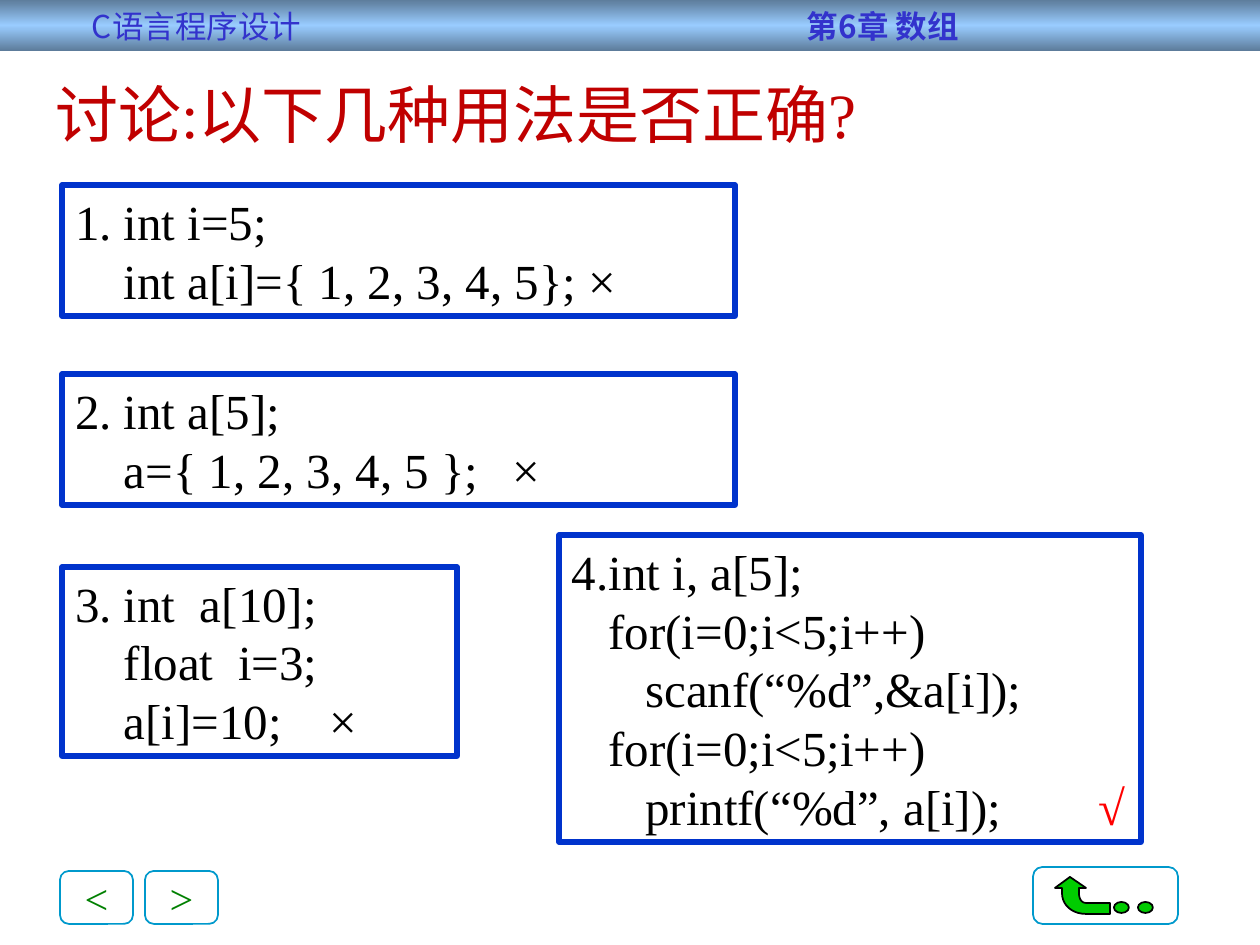
from lxml.etree import SubElement
from pptx import Presentation
from pptx.dml.color import RGBColor
from pptx.enum.shapes import MSO_SHAPE
from pptx.enum.text import MSO_ANCHOR, PP_ALIGN
from pptx.oxml.ns import qn
from pptx.util import Emu, Pt

PX = 914400 // 126
COLORS = {
    "band_edge": "5D7C9B", "band_middle": "99CCFF", "header": "3333CC",
    "title": "C00000", "code": "000000", "code_border": "0033CC",
    "right": "FF0000", "button": "0099CC", "symbol": "008000",
    "arrow": "00CC00", "outline": "000000",
}
LATIN, CHINESE = "Times New Roman", "Noto Sans CJK SC"

# Content: text runs are (text, color, bold)
HEADER = [("C语言程序设计", "header", False), ("\t第6章 数组", "header", True)]
TITLE = "讨论:以下几种用法是否正确?"
# Each exercise: box, tab stop of the verdict, code lines, verdict, verdict color
EXERCISES = [
    ((62, 185, 673, 131), None,
     ["1. int i=5;", "    int a[i]={ 1, 2, 3, 4, 5}; "], "×", "code"),
    ((62, 374, 673, 131), 438,
     ["2. int a[5];", "    a={ 1, 2, 3, 4, 5 };"], "×", "code"),
    ((62, 567, 395, 189), 255,
     ["3. int  a[10];", "    float  i=3;", "    a[i]=10;"], "×", "code"),
    ((559, 535, 582, 307), 527,
     ["4.int i, a[5];", "   for(i=0;i<5;i++)", "      scanf(“%d”,&a[i]);",
      "   for(i=0;i<5;i++)", "      printf(“%d”, a[i]);"], "√", "right"),
]
BUTTONS = [("<", (60, 871, 73, 53)), (">", (145, 871, 73, 53))]
RETURN_BUTTON = (1033, 867, 145, 57)
RETURN_DOTS = [(1114, 902, 15, 11), (1138, 902, 15, 11)]
# Bent arrow: pairs are corners, triples are the rest of a Bezier curve
RETURN_ARROW = [
    (1070, 877), (1055, 888), (1062, 888), (1062, 893),
    ((1062, 905), (1072, 914), (1086, 914)),
    (1110, 914), (1110, 903), (1086, 903),
    ((1081, 903), (1079, 898), (1079, 893)),
    (1079, 888), (1086, 888),
]


def rgb(name):
    return RGBColor.from_string(COLORS[name])


def style(shape, fill=None, line=None, width=1):
    shape.shadow.inherit = False
    if fill:
        shape.fill.solid()
        shape.fill.fore_color.rgb = rgb(fill)
    else:
        shape.fill.background()
    if line:
        shape.line.color.rgb = rgb(line)
        shape.line.width = Pt(width)
    else:
        shape.line.fill.background()
    return shape


def add_box(kind, box, **look):
    return style(slide.shapes.add_shape(kind, *(Emu(v * PX) for v in box)), **look)


def set_frame(shape, left=13, right=13, anchor=MSO_ANCHOR.TOP, wrap=True):
    frame = shape.text_frame
    frame.word_wrap = wrap
    frame.vertical_anchor = anchor
    frame.margin_left, frame.margin_right = Emu(left * PX), Emu(right * PX)
    return frame


def fill_paragraph(paragraph, runs, size, latin=LATIN, align=PP_ALIGN.LEFT, tab=None):
    paragraph.alignment = align
    if tab:
        tabs = SubElement(paragraph._p.get_or_add_pPr(), qn("a:tabLst"))
        SubElement(tabs, qn("a:tab"), pos=str(tab * PX), algn="l")
    for text, color, bold in runs:
        run = paragraph.add_run()
        run.text = text
        font = run.font
        font.size, font.bold, font.name = Pt(size), bold, latin
        font.color.rgb = rgb(color)
        SubElement(run._r.get_or_add_rPr(), qn("a:ea"), typeface=CHINESE)


def curve_points(start, control1, control2, end, steps=10):
    for i in range(1, steps + 1):
        t = i / steps
        weights = ((1 - t) ** 3, 3 * t * (1 - t) ** 2, 3 * t * t * (1 - t), t ** 3)
        corners = (start, control1, control2, end)
        yield tuple(sum(w * c[axis] for w, c in zip(weights, corners)) for axis in (0, 1))


prs = Presentation()
prs.slide_width, prs.slide_height = Emu(1260 * PX), Emu(945 * PX)
slide = prs.slides.add_slide(prs.slide_layouts[6])

# Header band
band = add_box(MSO_SHAPE.RECTANGLE, (0, 0, 1260, 51))
band.fill.gradient()
band.fill.gradient_angle = 270
stop_list = band.fill._fill._gradFill.gsLst
for stop in list(stop_list):
    stop_list.remove(stop)
for position, name in ((0, "band_edge"), (50, "band_middle"), (100, "band_edge")):
    stop = SubElement(stop_list, qn("a:gs"), pos=str(position * 1000))
    SubElement(stop, qn("a:srgbClr"), val=COLORS[name])
header = set_frame(band, left=92, anchor=MSO_ANCHOR.MIDDLE)
fill_paragraph(header.paragraphs[0], HEADER, 18, latin=CHINESE, tab=715)

# Navigation buttons
for symbol, box in BUTTONS:
    button = add_box(MSO_SHAPE.ROUNDED_RECTANGLE, box, line="button")
    frame = set_frame(button, anchor=MSO_ANCHOR.MIDDLE, wrap=False)
    fill_paragraph(frame.paragraphs[0], [(symbol, "symbol", False)], 24,
                   align=PP_ALIGN.CENTER)

# Return button
arrow_points = []
for part in RETURN_ARROW:
    if len(part) == 3:
        arrow_points.extend(curve_points(arrow_points[-1], *part))
    else:
        arrow_points.append(part)
first, *others = [(round(x * PX), round(y * PX)) for x, y in arrow_points]
builder = slide.shapes.build_freeform(*first)
builder.add_line_segments(others, close=True)
style(builder.convert_to_shape(), fill="arrow", line="outline")
for dot in RETURN_DOTS:
    add_box(MSO_SHAPE.OVAL, dot, fill="arrow", line="outline")
add_box(MSO_SHAPE.ROUNDED_RECTANGLE, RETURN_BUTTON, line="button")

# Code exercises, the verdict ending the last line
for box, tab, lines, verdict, verdict_color in EXERCISES:
    panel = add_box(MSO_SHAPE.RECTANGLE, box, line="code_border", width=3)
    frame = set_frame(panel, right=0)
    for i, line in enumerate(lines):
        paragraph = frame.add_paragraph() if i else frame.paragraphs[0]
        runs = [(line, "code", False)]
        last = i == len(lines) - 1
        if last:
            runs.append((("\t" if tab else "") + verdict, verdict_color, False))
        fill_paragraph(paragraph, runs, 28, tab=tab if last else None)

# Title
title_box = slide.shapes.add_textbox(*(Emu(v * PX) for v in (42, 96, 1029, 58)))
title = set_frame(title_box).paragraphs[0]
title.line_spacing = 0.6
fill_paragraph(title, [(TITLE, "title", False)], 36)

prs.save("out.pptx")
